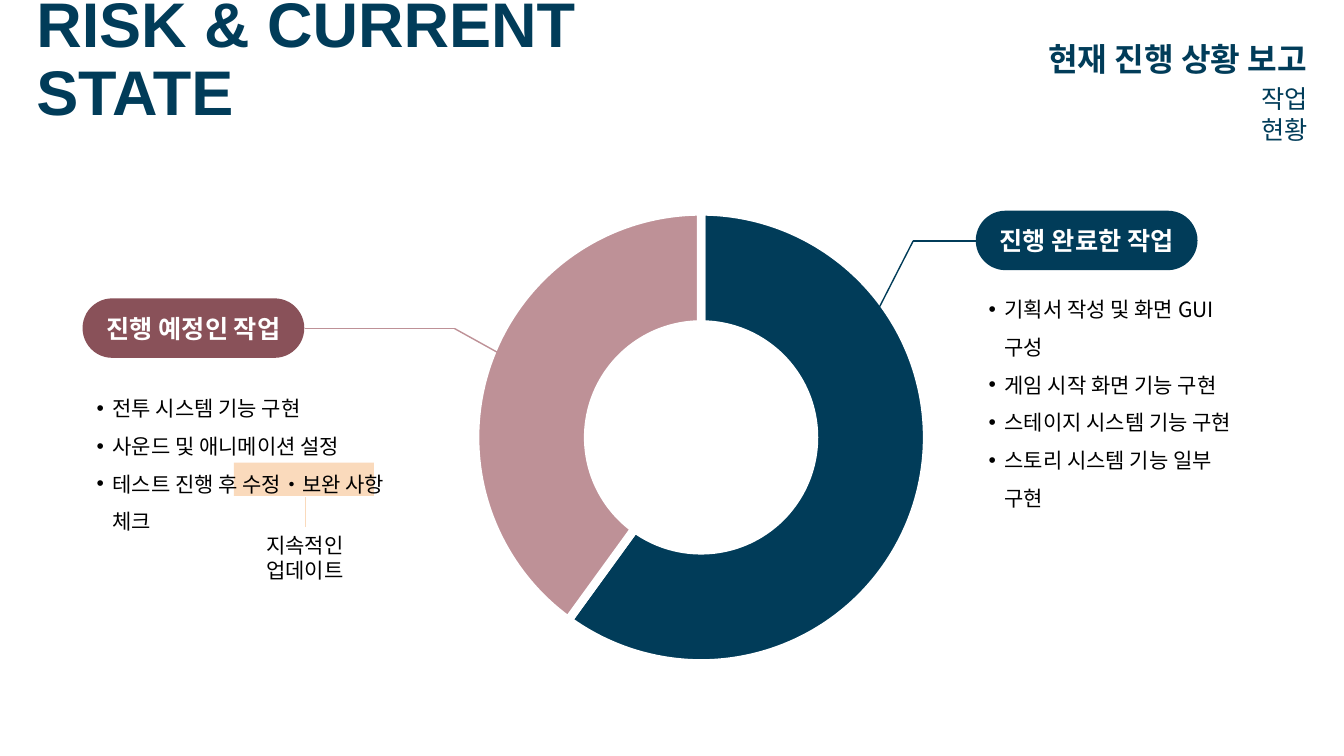
import pptx
import pptx.chart.data
import pptx.dml.color
import pptx.enum.chart
import pptx.enum.shapes
import pptx.enum.text
import pptx.oxml
import pptx.oxml.ns
import pptx.util

Pt = pptx.util.Pt
ALIGN = pptx.enum.text.PP_ALIGN
ANCHOR = pptx.enum.text.MSO_ANCHOR
SHAPE = pptx.enum.shapes.MSO_SHAPE
NAVY, WINE, ROSE, PEACH = "013C59", "895159", "BE9197", "FADABC"
WHITE, BLACK = "FFFFFF", "000000"


def color(value):
    return pptx.dml.color.RGBColor.from_string(value)


def add_xml(parent, tag, **attributes):
    element = pptx.oxml.parse_xml(f"<{tag} {pptx.oxml.ns.nsdecls(tag[:1])}/>")
    for name, value in attributes.items():
        element.set(name, value)
    parent.append(element)


class Board:
    """Holds the text style and the slide being filled."""

    def __init__(self, page, font="Noto Sans CJK KR"):
        self.page = page
        self.font = font

    def fill_text(self, frame, lines, size, ink, align=ALIGN.LEFT, anchor=ANCHOR.TOP,
                  bold=False, spacing=None, bullets=False, font=None):
        frame.word_wrap = True
        frame.auto_size = pptx.enum.text.MSO_AUTO_SIZE.NONE
        frame.vertical_anchor = anchor
        frame.text = "\n".join(lines)
        for para in frame.paragraphs:
            para.alignment = align
            para.line_spacing = spacing
            if bullets:
                properties = para._p.get_or_add_pPr()
                properties.set("marL", str(Pt(14.4)))
                properties.set("indent", str(-Pt(11.5)))
                add_xml(properties, "a:buFont", typeface="Arial")
                add_xml(properties, "a:buChar", char="•")
            for span in para.runs:
                span.font.size = Pt(size)
                span.font.bold = bold
                span.font.color.rgb = color(ink)
                span.font.name = font or self.font
                add_xml(span._r.get_or_add_rPr(), "a:ea", typeface=font or self.font)

    def title(self, text, left, top, width, height):
        box = self.page.shapes.title
        box.left, box.top, box.width, box.height = map(Pt, (left, top, width, height))
        self.fill_text(box.text_frame, [text], 45, NAVY, anchor=ANCHOR.MIDDLE,
                       bold=True, spacing=0.9, font="Arial")

    def text(self, lines, left, top, width, height, size=15, ink=BLACK, **style):
        box = self.page.shapes.add_textbox(*map(Pt, (left, top, width, height)))
        self.fill_text(box.text_frame, lines, size, ink, **style)

    def block(self, kind, left, top, width, height, fill):
        shape = self.page.shapes.add_shape(kind, *map(Pt, (left, top, width, height)))
        shape.shadow.inherit = False
        shape.fill.solid()
        shape.fill.fore_color.rgb = color(fill)
        shape.line.fill.background()
        return shape

    def pill(self, text, left, top, fill):
        shape = self.block(SHAPE.ROUNDED_RECTANGLE, left, top, 158.4, 42.5, fill)
        shape.adjustments[0] = 0.5
        self.fill_text(shape.text_frame, [text], 18, WHITE, align=ALIGN.CENTER,
                       anchor=ANCHOR.MIDDLE, bold=True)

    def leader(self, points, ink):
        """Joins the points with straight lines."""
        for start, end in zip(points, points[1:]):
            line = self.page.shapes.add_connector(
                pptx.enum.shapes.MSO_CONNECTOR.STRAIGHT, *map(Pt, start + end))
            line.line.color.rgb = color(ink)
            line.line.width = Pt(1)
            add_xml(line._element.spPr, "a:effectLst")

    def doughnut(self, values, fills, left, top, width, height):
        data = pptx.chart.data.CategoryChartData()
        data.categories = [str(number + 1) for number in range(len(values))]
        data.add_series("Series 1", values)
        chart = self.page.shapes.add_chart(
            pptx.enum.chart.XL_CHART_TYPE.DOUGHNUT,
            *map(Pt, (left, top, width, height)), data).chart
        chart.has_legend = False
        chart.has_title = False
        chart.font.size = Pt(10)
        chart.font.name = self.font
        chart.font.color.rgb = color(BLACK)
        plot = chart.plots[0]
        plot.vary_by_categories = True
        for hole in chart._chartSpace.iter(pptx.oxml.ns.qn("c:holeSize")):
            hole.set("val", "47")
        for index, fill in enumerate(fills):
            part = plot.series[0].points[index].format
            part.fill.solid()
            part.fill.fore_color.rgb = color(fill)
            part.line.color.rgb = color(WHITE)
            part.line.width = Pt(6)


def main():
    deck = pptx.Presentation()
    deck.slide_width, deck.slide_height = Pt(960), Pt(540)
    board = Board(deck.slides.add_slide(deck.slide_layouts[5]))

    board.title("RISK & CURRENT STATE", 18.7, 16.6, 416.2, 54)
    board.text(["현재 진행 상황 보고"], 575.3, 16.6, 365.8, 54, 23, NAVY, bold=True,
               align=ALIGN.RIGHT, anchor=ANCHOR.MIDDLE, spacing=0.9)
    board.text(["작업 현황"], 859.7, 56.2, 81.4, 28.8, 18, NAVY, align=ALIGN.RIGHT)

    board.doughnut([60, 40], [NAVY, ROSE], 225.4, 141.1, 550.8, 342.7)

    board.pill("진행 완료한 작업", 697, 150.5, NAVY)
    board.leader([(619.2, 236.9), (652.3, 172.1), (697, 172.1)], NAVY)
    board.text(["기획서 작성 및 화면 GUI 구성", "게임 시작 화면 기능 구현",
                "스테이지 시스템 기능 구현", "스토리 시스템 기능 일부 구현"],
               696.2, 199.4, 204.5, 113, spacing=1.5, bullets=True)

    board.pill("진행 예정인 작업", 59, 213.1, WINE)
    board.leader([(218.2, 234.7), (324.7, 234.7), (363.6, 256.3)], ROSE)
    board.block(SHAPE.RECTANGLE, 167, 330.5, 100.1, 23.8, PEACH)
    board.text(["전투 시스템 기능 구현", "사운드 및 애니메이션 설정",
                "테스트 진행 후 수정・보완 사항 체크"],
               59, 270, 245.5, 85.7, spacing=1.5, bullets=True)
    board.text(["지속적인 업데이트"], 156.2, 376.6, 123.1, 25.2, align=ALIGN.CENTER)
    board.leader([(218.2, 376.6), (218.2, 355)], PEACH)

    deck.save("out.pptx")


if __name__ == "__main__":
    main()
